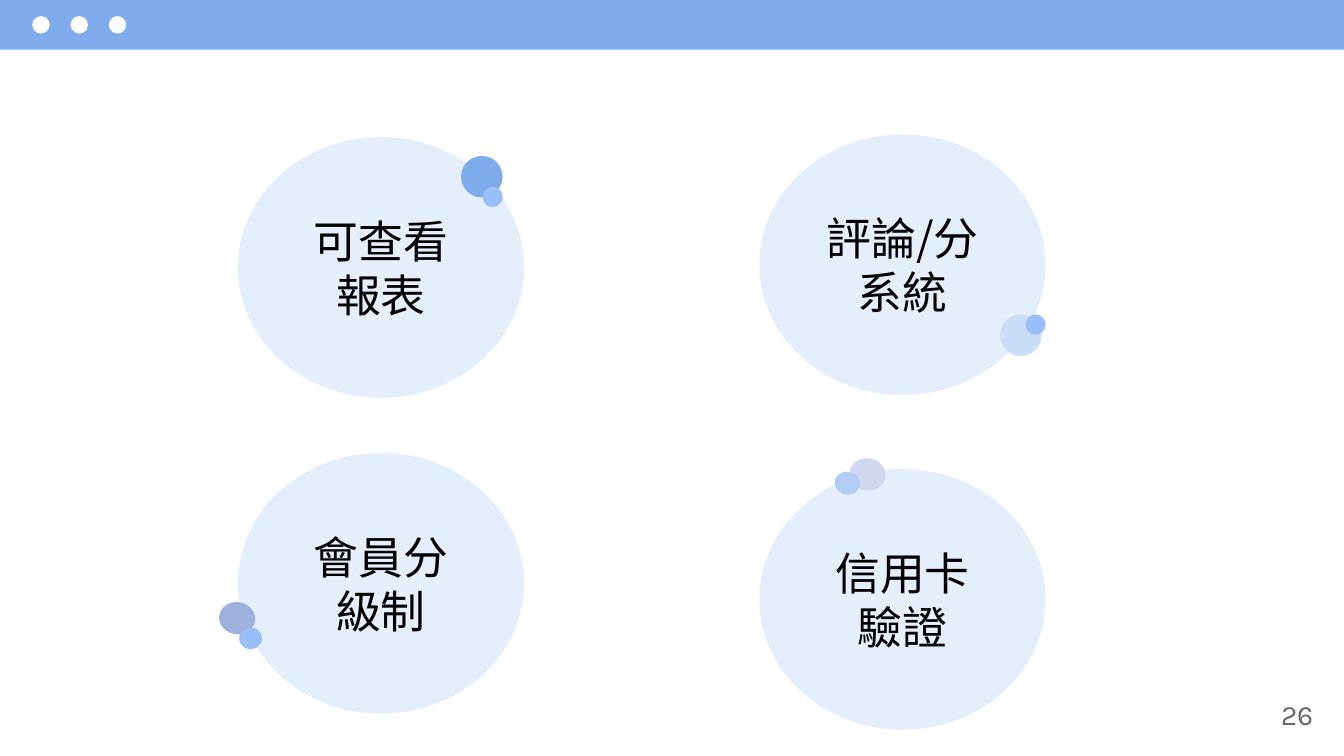
"""Build a slide with four feature bubbles under a window-style title bar."""
from lxml import etree
from pptx import Presentation
from pptx.dml.color import RGBColor
from pptx.enum.shapes import MSO_SHAPE
from pptx.enum.text import MSO_ANCHOR, PP_ALIGN
from pptx.oxml.ns import qn
from pptx.util import Inches, Pt

RECTANGLE = MSO_SHAPE.RECTANGLE
OVAL = MSO_SHAPE.OVAL
CONNECTOR_DOT = MSO_SHAPE.FLOWCHART_CONNECTOR
MIDDLE = MSO_ANCHOR.MIDDLE
CENTER = PP_ALIGN.CENTER
RIGHT = PP_ALIGN.RIGHT

COLORS = {
    "bar": "7EACEC", "white": "FFFFFF", "bubble": "E5EEFB",
    "black": "000000", "gray": "666666", "sky": "99BFF8",
    "pale": "CBDEF7", "violet": "9EB1DE", "lilac": "CFD8EE",
    "mist": "B2CDF4",
}
LABEL_FONT = "Noto Sans CJK SC"
NUMBER_FONT = "Karla"
PAGE_NUMBER = "26"

LEFT_COLUMN, RIGHT_COLUMN = 1.77, 5.65
BUBBLE_SIZE = (2.13, 1.94)
BUBBLES = [
    ("可查看報表", LEFT_COLUMN, 1.02),
    ("評論/分系統", RIGHT_COLUMN, 1),
    ("會員分級制", LEFT_COLUMN, 3.37),
    ("信用卡驗證", RIGHT_COLUMN, 3.49),
]
ACCENTS = [
    (3.43, 1.16, 0.31, 0.31, "bar", 0),
    (3.59, 1.39, 0.15, 0.15, "sky", 0),
    (7.44, 2.34, 0.31, 0.31, "pale", 0),
    (7.63, 2.34, 0.15, 0.15, "sky", 0),
    (1.63, 4.48, 0.27, 0.24, "violet", 9.7),
    (1.78, 4.67, 0.17, 0.16, "sky", 0),
    (6.32, 3.41, 0.27, 0.24, "lilac", 9.7),
    (6.21, 3.51, 0.19, 0.17, "mist", 9.7),
]
WINDOW_DOTS = 3
DOT_FIRST, DOT_LAST, DOT_TOP, DOT_SIZE = 0.24, 0.81, 0.12, 0.13


def add_filled(page, kind, left, top, width, height, color):
    shape = page.shapes.add_shape(
        kind, Inches(left), Inches(top), Inches(width), Inches(height))
    shape.shadow.inherit = False
    shape.fill.solid()
    shape.fill.fore_color.rgb = RGBColor.from_string(COLORS[color])
    shape.line.fill.background()
    return shape


def write_text(box, text, size, font, color, alignment):
    frame = box.text_frame
    frame.word_wrap = True
    frame.vertical_anchor = MIDDLE
    para = frame.paragraphs[0]
    para.alignment = alignment
    span = para.add_run()
    span.text = text
    span.font.size = Pt(size)
    span.font.name = font
    span.font.color.rgb = RGBColor.from_string(COLORS[color])
    east_asian = etree.SubElement(span.font._element, qn("a:ea"))
    east_asian.set("typeface", font)


def main():
    deck = Presentation()
    deck.slide_width = Inches(10)
    deck.slide_height = Inches(10 * 9 / 16)
    page = deck.slides.add_slide(deck.slide_layouts[6])

    number_box = page.shapes.add_textbox(
        Inches(9.27), Inches(5.1), Inches(0.6), Inches(0.43))
    frame = number_box.text_frame
    frame.margin_top = frame.margin_bottom = Inches(0.1)
    frame.margin_left = frame.margin_right = Inches(0.1)
    write_text(number_box, PAGE_NUMBER, 15, NUMBER_FONT, "gray", RIGHT)

    add_filled(page, RECTANGLE, 0, 0, 10, 0.37, "bar")
    dot_step = (DOT_LAST - DOT_FIRST) / (WINDOW_DOTS - 1)
    for index in range(WINDOW_DOTS):
        add_filled(page, OVAL, DOT_FIRST + index * dot_step, DOT_TOP,
                   DOT_SIZE, DOT_SIZE, "white")

    for label, left, top in BUBBLES:
        bubble = add_filled(page, OVAL, left, top, *BUBBLE_SIZE, "bubble")
        write_text(bubble, label, 24, LABEL_FONT, "black", CENTER)

    for left, top, width, height, color, angle in ACCENTS:
        accent = add_filled(page, CONNECTOR_DOT, left, top, width, height, color)
        accent.rotation = angle

    deck.save("out.pptx")


if __name__ == "__main__":
    main()
